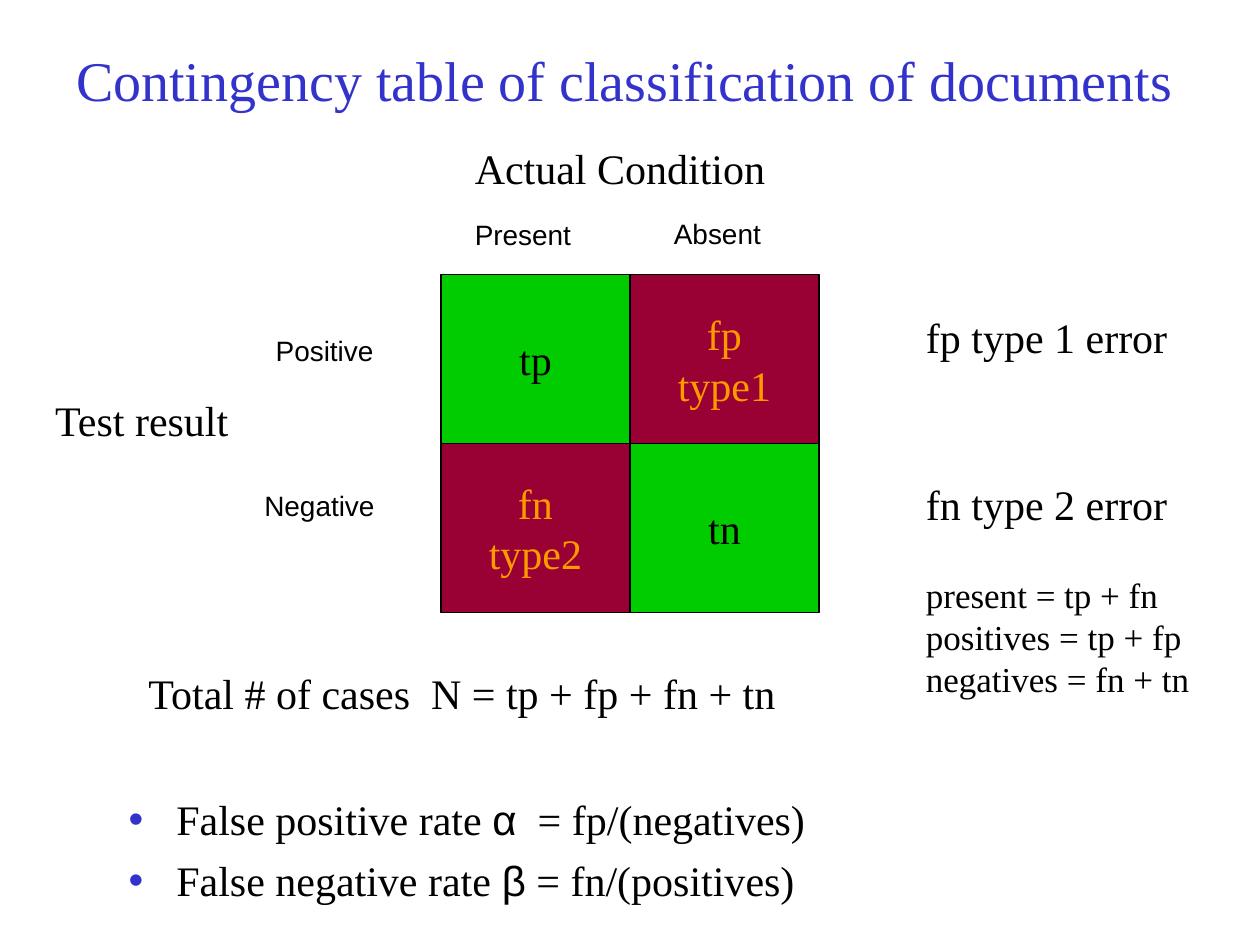
from pptx import Presentation
from pptx.dml.color import RGBColor
from pptx.enum.shapes import MSO_SHAPE
from pptx.enum.text import MSO_ANCHOR, MSO_AUTO_SIZE, PP_ALIGN
from pptx.oxml import parse_xml
from pptx.oxml.ns import nsdecls
from pptx.util import Inches, Pt

RECT = MSO_SHAPE.RECTANGLE
MIDDLE, TOP = MSO_ANCHOR.MIDDLE, MSO_ANCHOR.TOP
CENTER, LEFT = PP_ALIGN.CENTER, PP_ALIGN.LEFT
FIXED = MSO_AUTO_SIZE.NONE

SERIF, SANS = "Times New Roman", "Arial"
BLACK, BLUE, GREEN, RED, ORANGE = "000000", "3333CC", "00CC00", "990033", "FF9900"

TITLE = "Contingency table of classification of documents"
GRID = [["tp", "fp\ntype1"], ["fn\ntype2", "tn"]]
RATES = [
    ("False positive rate ", "α", "  = fp/(negatives)"),
    ("False negative rate ", "β", " = fn/(positives)"),
]
SUMS = "present = tp + fn\npositives = tp + fp\nnegatives = fn + tn"
LABELS = [
    ("Actual Condition", 3.67, 1.08, 2.5, 0.5, 24, SERIF),
    ("Test result", 0.34, 3.08, 1.6, 0.5, 24, SERIF),
    ("Present", 3.67, 1.68, 0.96, 0.37, 16, SANS),
    ("Absent", 5.25, 1.67, 0.89, 0.37, 16, SANS),
    ("Positive", 2.09, 2.6, 0.97, 0.37, 16, SANS),
    ("Negative", 2, 3.83, 1.07, 0.37, 16, SANS),
    ("fp type 1 error", 7.25, 2.42, 2.11, 0.5, 24, SERIF),
    ("fn type 2 error", 7.25, 3.75, 2.11, 0.5, 24, SERIF),
]
NOTES = [
    (SUMS, 7.25, 4.5, 2.5, 1.77, 20, SERIF),
    ("Total # of cases  N = tp + fp + fn + tn", 1.08, 5.25, 5.5, 0.5, 24, SERIF),
]
GRID_X, GRID_Y, CELL_W, CELL_H = 3.5, 2.18, 1.5, 1.34


def color(code):
    return RGBColor.from_string(code)


def style(run, size, face, code):
    run.font.size = Pt(size)
    run.font.name = face
    run.font.color.rgb = color(code)


def write(shape, text, size, face, code, align, anchor, wrap):
    frame = shape.text_frame
    frame.text = text
    frame.word_wrap = wrap
    frame.auto_size = FIXED
    frame.vertical_anchor = anchor
    for para in frame.paragraphs:
        para.alignment = align
        for run in para.runs:
            style(run, size, face, code)


def place(shape, *box):
    shape.left, shape.top, shape.width, shape.height = map(Inches, box)


def add_bullet(para):
    props = para._p.get_or_add_pPr()
    props.set("marL", str(Inches(0.38)))
    props.set("indent", str(-Inches(0.38)))
    for xml in (
        f'<a:buClr {nsdecls("a")}><a:srgbClr val="{BLUE}"/></a:buClr>',
        f'<a:buChar {nsdecls("a")} char="•"/>',
    ):
        props.append(parse_xml(xml))


deck = Presentation()
deck.slide_width, deck.slide_height = Inches(10), Inches(7.5)
slide = deck.slides.add_slide(deck.slide_layouts[1])

title = slide.shapes.title
place(title, 0.5, 0, 8.92, 1.25)
write(title, TITLE, 32, SERIF, BLUE, CENTER, MIDDLE, True)
title.text_frame.margin_left = title.text_frame.margin_right = 0

body = slide.placeholders[1]
place(body, 0.92, 6.25, 6.67, 1.08)
frame = body.text_frame
frame.auto_size = FIXED
for i, parts in enumerate(RATES):
    para = frame.add_paragraph() if i else frame.paragraphs[0]
    add_bullet(para)
    para.space_before = Pt(6 if i else 0)
    for part, face in zip(parts, (SERIF, SANS, SERIF)):
        run = para.add_run()
        run.text = part
        style(run, 24, face, BLACK)

for r, row in enumerate(GRID):
    for c, text in enumerate(row):
        cell = slide.shapes.add_shape(
            RECT, Inches(GRID_X + c * CELL_W), Inches(GRID_Y + r * CELL_H),
            Inches(CELL_W), Inches(CELL_H))
        fill, ink = (GREEN, BLACK) if r == c else (RED, ORANGE)
        cell.shadow.inherit = False
        cell.fill.solid()
        cell.fill.fore_color.rgb = color(fill)
        cell.line.color.rgb = color(BLACK)
        cell.line.width = Pt(0.75)
        write(cell, text, 24, SERIF, ink, CENTER, MIDDLE, False)

for group, wrap in ((LABELS, False), (NOTES, True)):
    for text, x, y, w, h, size, face in group:
        label = slide.shapes.add_textbox(Inches(x), Inches(y), Inches(w), Inches(h))
        write(label, text, size, face, BLACK, LEFT, TOP, wrap)

deck.save("out.pptx")
